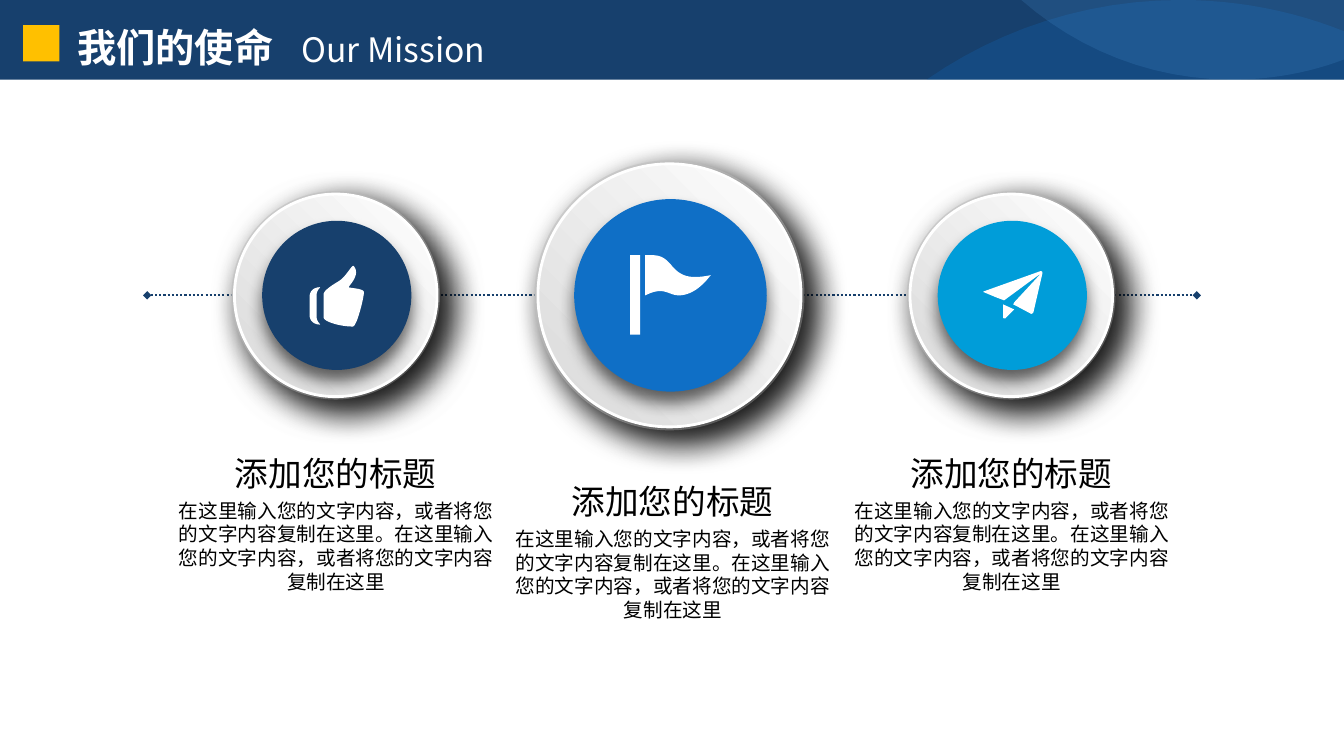
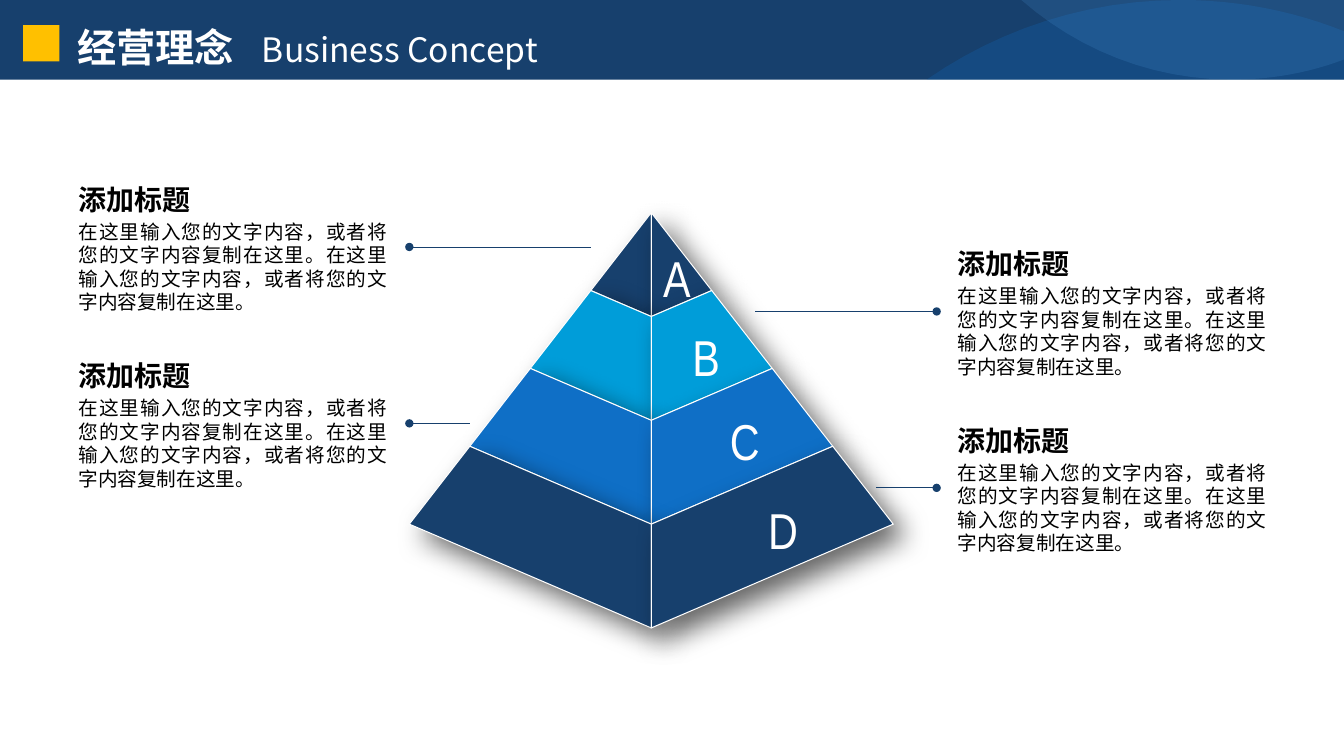
from dataclasses import dataclass

from lxml.etree import SubElement
from pptx import Presentation
from pptx.dml.color import RGBColor
from pptx.enum.dml import MSO_LINE
from pptx.enum.shapes import MSO_CONNECTOR, MSO_SHAPE
from pptx.enum.text import MSO_AUTO_SIZE, PP_ALIGN
from pptx.oxml.ns import qn
from pptx.shapes.autoshape import Shape
from pptx.shapes.connector import Connector
from pptx.slide import Slide
from pptx.text.text import TextFrame, _Paragraph as Paragraph
from pptx.util import Emu, Pt

NAVY = RGBColor(0x17, 0x40, 0x6D)
BLUE = RGBColor(0x0F, 0x6F, 0xC6)
CYAN = RGBColor(0x00, 0x9D, 0xD9)
SKY = RGBColor(0x59, 0xAA, 0xF2)
YELLOW = RGBColor(0xFF, 0xC0, 0x00)
SILVER = RGBColor(0xD9, 0xD9, 0xD9)
WHITE = RGBColor(0xFF, 0xFF, 0xFF)
BLACK = RGBColor(0x00, 0x00, 0x00)

FONT = "Noto Sans CJK SC"
LETTER_FONT = "Arial Narrow"
EMU_PER_PX = 9144
WIDTH, HEIGHT, BAND = 1333, 750, 79
CURVE_STEPS = 12
ONE_LINE, BODY_LINE = 1.27, 1.2

BODY = "在这里输入您的文字内容，或者将您的文字内容复制在这里。在这里输入您的文字内容，或者将您的文字内容复制在这里"

Contour = list[tuple[int, ...]]

LOW_SWOOSH: list[Contour] = [
    [(1171, 0), (1228, 0, 1283, 11, 1333, 31), (1333, 79), (919, 79), (991, 29, 1078, 0, 1171, 0)],
]
HIGH_SWOOSH: list[Contour] = [
    [(1333, 0), (1333, 59), (1299, 72, 1261, 79, 1222, 79), (1142, 79, 1069, 49, 1013, 0)],
]
THUMB: list[Contour] = [
    [(317, 285), (315, 285, 307, 286, 307, 295), (307, 312), (307, 321, 315, 322, 317, 322),
     (319, 322, 314, 320, 314, 314), (314, 293), (314, 287, 319, 285, 317, 285)],
    [(346, 285), (346, 283, 358, 273, 351, 264), (349, 262, 344, 274, 336, 279),
     (331, 282, 321, 288, 321, 292), (321, 315), (321, 319, 337, 324, 350, 324),
     (354, 324, 361, 295, 361, 290), (361, 286, 347, 286, 346, 285)],
]
FLAG: list[Contour] = [
    [(625, 253), (635, 253), (635, 332), (625, 332)],
    [(665, 262), (657, 253, 652, 253, 640, 253), (640, 293), (660, 283, 663, 294, 675, 293),
     (688, 292, 698, 282, 705, 273), (685, 277, 675, 275, 665, 262)],
]
PLANE: list[Contour] = [
    [(995, 315), (995, 316, 996, 316, 997, 316), (1006, 307), (995, 302)],
    [(1032, 269), (976, 289), (975, 289, 975, 290, 976, 290), (988, 295), (996, 298),
     (1030, 273), (1031, 272, 1031, 273, 1031, 273), (1006, 300), (1005, 302), (1007, 303),
     (1022, 311), (1023, 312, 1024, 311, 1025, 310), (1034, 271), (1034, 270, 1034, 269, 1032, 269)],
]


@dataclass(frozen=True)
class Shadow:
    alpha: int
    blur: int
    dist: int
    angle: int


@dataclass(frozen=True)
class Badge:
    ring_x: int
    text_x: int
    outer: int
    inner: int
    disc: int
    color: RGBColor
    icon: list[Contour]
    heading_y: int


@dataclass(frozen=True)
class Tier:
    letter: str
    letter_x: int
    letter_y: int
    color: RGBColor
    border: float


@dataclass(frozen=True)
class Callout:
    x: int
    y: int
    dot_x: int
    tip_x: int


RING_SHADOW = Shadow(70, 24, 12, 45)
DISC_SHADOW = Shadow(60, 12, 8, 90)
FACE_SHADOW = Shadow(60, 20, 12, 45)

BADGES = [
    Badge(333, 333, 204, 201, 148, NAVY, THUMB, 442),
    Badge(664, 667, 265, 261, 191, BLUE, FLAG, 470),
    Badge(1003, 1003, 204, 201, 148, CYAN, PLANE, 442),
]
TIERS = [
    Tier("A", 648, 240, NAVY, 0.75),
    Tier("B", 677, 319, CYAN, 0.75),
    Tier("C", 714, 402, BLUE, 0),
    Tier("D", 752, 490, NAVY, 0),
]
CALLOUTS = [
    Callout(68, 174, 406, 586),
    Callout(68, 349, 406, 466),
    Callout(940, 238, 929, 749),
    Callout(940, 413, 929, 869),
]


def px(n: float) -> Emu:
    return Emu(round(n * EMU_PER_PX))


def paint(sp: Shape, color: RGBColor, alpha: int = 100) -> Shape:
    sp.shadow.inherit = False
    sp.fill.solid()
    sp.fill.fore_color.rgb = color
    sp.line.fill.background()
    if alpha < 100:
        clr = sp._element.spPr.find(qn("a:solidFill"))[0]
        SubElement(clr, qn("a:alpha"), val=str(alpha * 1000))
    return sp


def outline(sp: Shape, color: RGBColor, width: float) -> None:
    sp.line.color.rgb = color
    sp.line.width = Pt(width)


def cast(sp: Shape, shadow: Shadow) -> None:
    effects = sp._element.spPr.find(qn("a:effectLst"))
    outer = SubElement(effects, qn("a:outerShdw"), blurRad=str(Pt(shadow.blur)),
                       dist=str(Pt(shadow.dist)), dir=str(shadow.angle * 60000),
                       algn="ctr", rotWithShape="0")
    clr = SubElement(outer, qn("a:srgbClr"), val=str(BLACK))
    SubElement(clr, qn("a:alpha"), val=str(shadow.alpha * 1000))


def rect(s: Slide, x: int, y: int, w: int, h: int, color: RGBColor) -> Shape:
    return paint(s.shapes.add_shape(MSO_SHAPE.RECTANGLE, px(x), px(y), px(w), px(h)), color)


def circle(s: Slide, cx: int, cy: int, d: int, color: RGBColor, shadow: Shadow) -> Shape:
    sp = s.shapes.add_shape(MSO_SHAPE.OVAL, px(cx - d / 2), px(cy - d / 2), px(d), px(d))
    paint(sp, color)
    cast(sp, shadow)
    return sp


def flatten(contour: Contour) -> list[tuple[float, float]]:
    points: list[tuple[float, float]] = [contour[0]]
    for seg in contour[1:]:
        if len(seg) == 2:
            points.append(seg)
            continue
        x0, y0 = points[-1]
        x1, y1, x2, y2, x3, y3 = seg
        for i in range(1, CURVE_STEPS + 1):
            t = i / CURVE_STEPS
            a, b, c, d = (1 - t) ** 3, 3 * t * (1 - t) ** 2, 3 * t * t * (1 - t), t ** 3
            points.append((a * x0 + b * x1 + c * x2 + d * x3, a * y0 + b * y1 + c * y2 + d * y3))
    return points


def freeform(s: Slide, contours: list[Contour], color: RGBColor, alpha: int = 100) -> Shape:
    paths = [[(px(x), px(y)) for x, y in flatten(c)] for c in contours]
    builder = s.shapes.build_freeform(*paths[0][0], scale=1.0)
    for i, points in enumerate(paths):
        if i:
            builder.move_to(*points[0])
        builder.add_line_segments(points[1:], close=True)
    return paint(builder.convert_to_shape(), color, alpha)


def line(s: Slide, x1: int, x2: int, y: int, width: float, head: str,
         tail: str = "none", dash: MSO_LINE = MSO_LINE.SOLID) -> Connector:
    cn = s.shapes.add_connector(MSO_CONNECTOR.STRAIGHT, px(x1), px(y), px(x2), px(y))
    cn.line.color.rgb = NAVY
    cn.line.width = Pt(width)
    cn.line.dash_style = dash
    ln = cn.line._get_or_add_ln()
    SubElement(ln, qn("a:headEnd"), type=head)
    SubElement(ln, qn("a:tailEnd"), type=tail)
    SubElement(cn._element.spPr, qn("a:effectLst"))
    return cn


def frame(s: Slide, x: float, y: int, w: int, h: int, wrap: bool = True) -> TextFrame:
    tf = s.shapes.add_textbox(px(x), px(y), px(w), px(h)).text_frame
    tf.word_wrap = wrap
    tf.auto_size = MSO_AUTO_SIZE.SHAPE_TO_FIT_TEXT
    return tf


def style(p: Paragraph, size: int, color: RGBColor, bold: bool = False, name: str = FONT) -> None:
    p.font.name = name
    p.font.size = Pt(size)
    p.font.bold = bold
    p.font.color.rgb = color
    SubElement(p._p.get_or_add_pPr().find(qn("a:defRPr")), qn("a:ea"), typeface=name)


def text(s: Slide, x: float, y: int, w: int, h: int, words: str, size: int,
         align: PP_ALIGN, leading: float, bold: bool = False) -> None:
    p = frame(s, x, y, w, h).paragraphs[0]
    p.text = words
    p.alignment = align
    p.line_spacing = Pt(round(size * leading, 1))
    style(p, size, BLACK, bold)


def header(s: Slide, title: str, subtitle: str) -> None:
    rect(s, 0, 0, WIDTH, BAND, NAVY)
    freeform(s, LOW_SWOOSH, BLUE, 23)
    freeform(s, HIGH_SWOOSH, SKY, 15)
    p = frame(s, 67, 15, 727, 57).paragraphs[0]
    p.line_spacing = Pt(round(28 * ONE_LINE, 1))
    tabs = SubElement(p._p.get_or_add_pPr(), qn("a:tabLst"))
    SubElement(tabs, qn("a:tab"), pos=str(px(39 * len(title) + 27)), algn="l")
    style(p, 28, WHITE)
    for words, size, bold in ((title + "\t", 28, True), (subtitle, 24, False)):
        r = p.add_run()
        r.text = words
        r.font.size = Pt(size)
        r.font.bold = bold
    rect(s, 23, 25, 36, 36, YELLOW)


def draw_badge(s: Slide, badge: Badge, cy: int) -> None:
    for d, edge in ((badge.outer, SILVER), (badge.inner, WHITE)):
        sp = circle(s, badge.ring_x, cy, d, WHITE, RING_SHADOW)
        sp.fill.gradient()
        sp.fill.gradient_angle = 45
        for stop, color in zip(sp.fill.gradient_stops, (SILVER, WHITE)):
            stop.color.rgb = color
        outline(sp, edge, 2)
    circle(s, badge.ring_x + 1, cy, badge.disc, badge.color, DISC_SHADOW)
    freeform(s, badge.icon, WHITE)
    text(s, badge.text_x - 166, badge.heading_y + 48, 333, 104, BODY, 14, PP_ALIGN.CENTER, BODY_LINE)
    text(s, badge.text_x - 146, badge.heading_y, 292, 50, "添加您的标题", 24, PP_ALIGN.CENTER, ONE_LINE)


def draw_tier(s: Slide, tier: Tier, i: int) -> None:
    apex_x, apex_y, half, slant, ridge = 646, 211, 60, 77.25, 103
    for side in (-1, 1):
        face = [(apex_x + side * half * n, apex_y + slant * n) for n in (i, i + 1)]
        face += [(apex_x, apex_y + ridge * n) for n in (i + 1, i)]
        sp = freeform(s, [face], tier.color)
        outline(sp, WHITE, tier.border)
        cast(sp, FACE_SHADOW)


def draw_letter(s: Slide, tier: Tier) -> None:
    p = frame(s, tier.letter_x, tier.letter_y, 37, 60, wrap=False).paragraphs[0]
    p.text = tier.letter
    p.alignment = PP_ALIGN.CENTER
    style(p, 36, WHITE, name=LETTER_FONT)


def draw_callout(s: Slide, c: Callout) -> None:
    text(s, c.x, c.y, 224, 44, "添加标题", 20, PP_ALIGN.LEFT, ONE_LINE, bold=True)
    text(s, c.x, c.y + 39, 326, 104, BODY + "。", 14, PP_ALIGN.JUSTIFY, BODY_LINE)
    line(s, c.dot_x, c.tip_x, c.y + 71, 0.5, "oval")


def mission(s: Slide) -> None:
    header(s, "我们的使命", "Our Mission")
    axis_y = 293
    line(s, 146, 1187, axis_y, 1.5, "diamond", "diamond", MSO_LINE.ROUND_DOT)
    for badge in BADGES:
        draw_badge(s, badge, axis_y)


def concept(s: Slide) -> None:
    header(s, "经营理念", "Business Concept")
    for i, tier in enumerate(TIERS):
        draw_tier(s, tier, i)
    for tier in TIERS:
        draw_letter(s, tier)
    for callout in CALLOUTS:
        draw_callout(s, callout)


def main() -> None:
    prs = Presentation()
    prs.slide_width, prs.slide_height = px(WIDTH), px(HEIGHT)
    for build in (mission, concept):
        build(prs.slides.add_slide(prs.slide_layouts[6]))
    prs.save("out.pptx")


if __name__ == "__main__":
    main()
